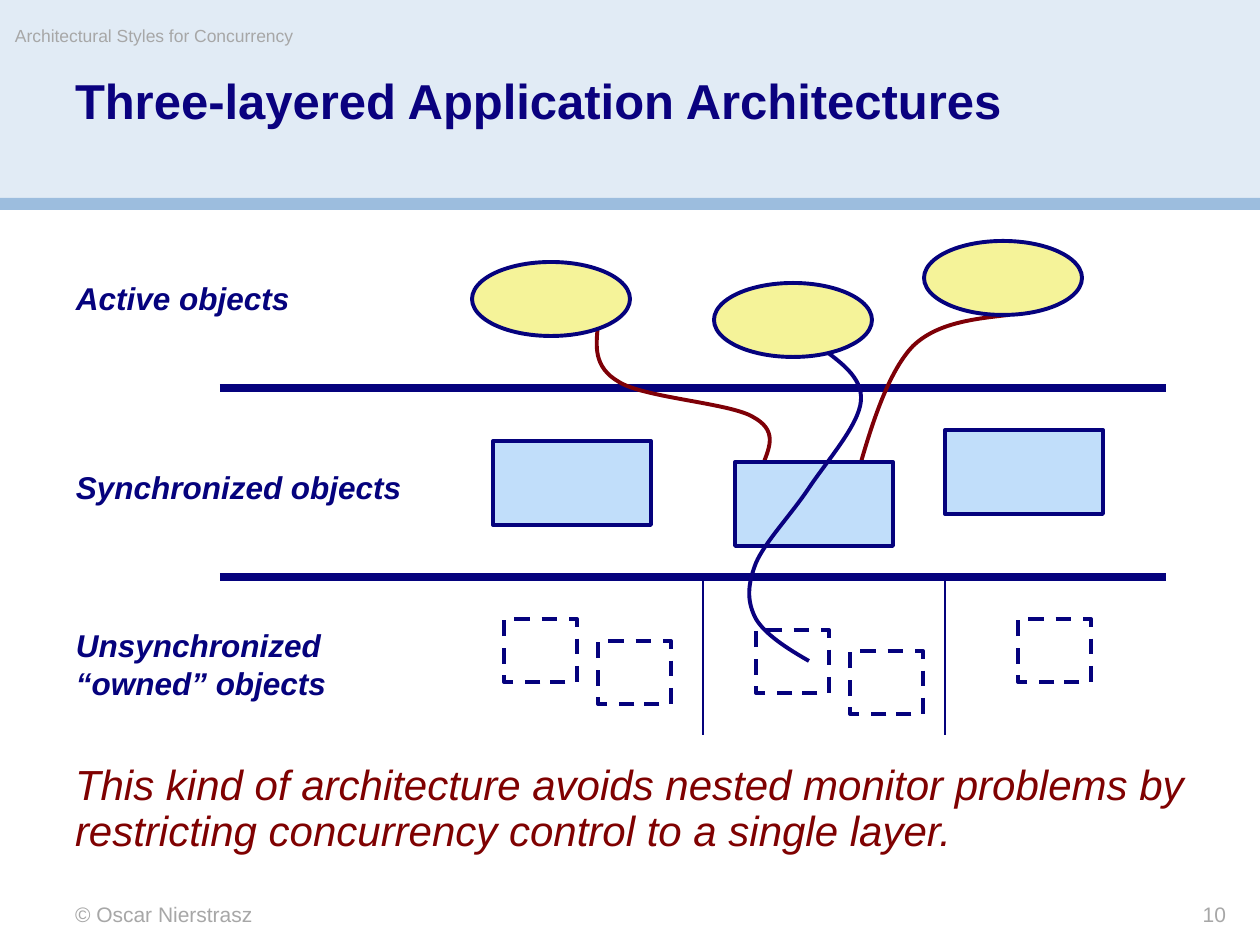
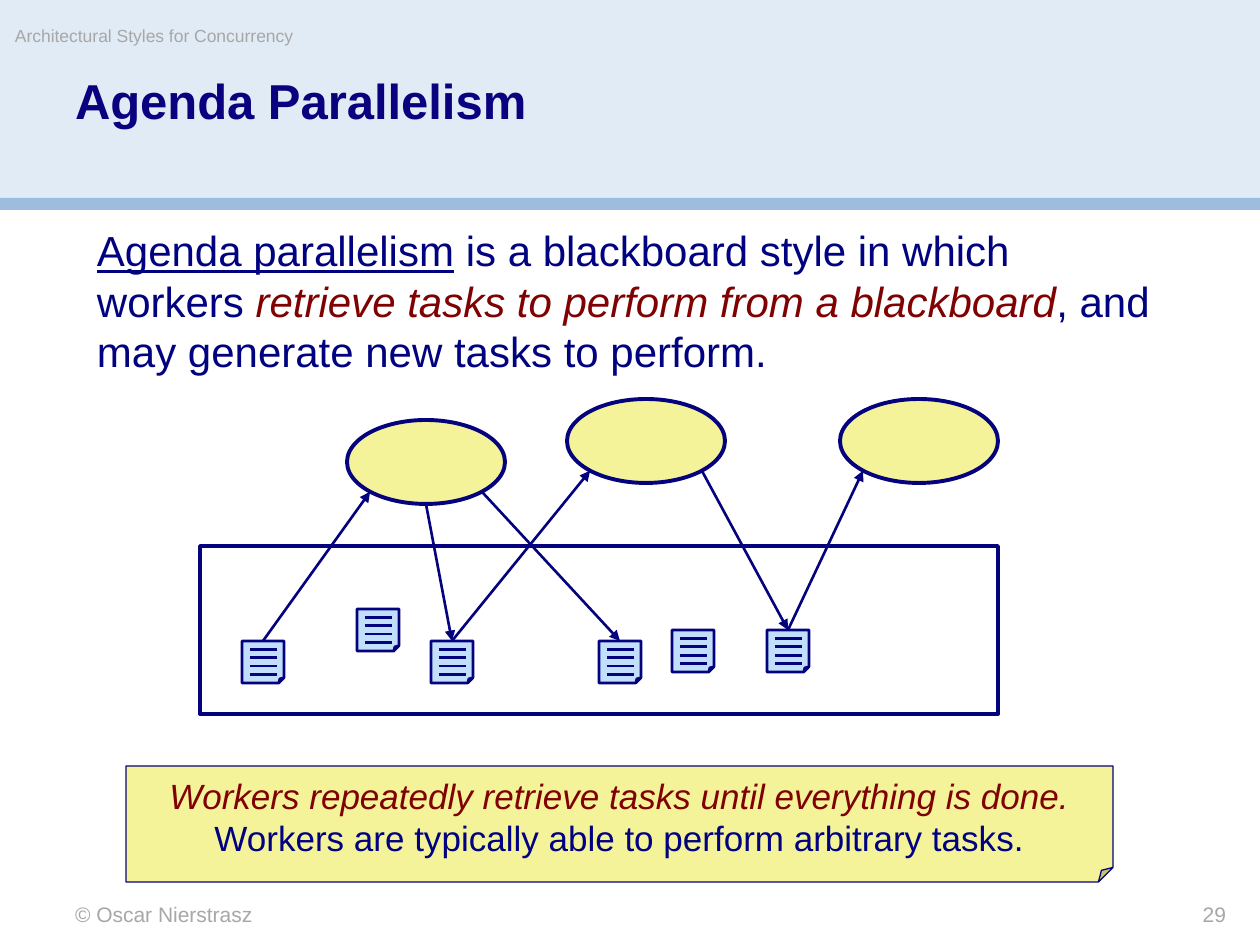
from dataclasses import dataclass
from math import cos, radians, sin

from lxml import etree
from pptx import Presentation
from pptx.dml.color import RGBColor
from pptx.enum.dml import MSO_LINE
from pptx.enum.shapes import MSO_CONNECTOR, MSO_SHAPE
from pptx.enum.text import MSO_ANCHOR, PP_ALIGN
from pptx.oxml.ns import qn
from pptx.util import Emu, Pt

EMU_PER_PX = 914400 / 126
STRAIGHT = MSO_CONNECTOR.STRAIGHT
RECTANGLE, OVAL, FOLDED = MSO_SHAPE.RECTANGLE, MSO_SHAPE.OVAL, MSO_SHAPE.FOLDED_CORNER
DASH = MSO_LINE.DASH
TOP, MIDDLE = MSO_ANCHOR.TOP, MSO_ANCHOR.MIDDLE
LEFT, CENTER, RIGHT = PP_ALIGN.LEFT, PP_ALIGN.CENTER, PP_ALIGN.RIGHT
TOP_SITE = 0


@dataclass(frozen=True)
class Theme:
    """Colours, font, type sizes and line widths of the deck."""
    font: str = "Arial"
    white: str = "FFFFFF"
    band: str = "E1EBF5"
    stripe: str = "9CBDDE"
    muted: str = "A7A7A7"
    title: str = "0A017F"
    text: str = "00027F"
    emphasis: str = "7F0101"
    outline: str = "05027D"
    call: str = "7E0007"
    yellow: str = "F5F399"
    blue: str = "C1DEFA"
    title_size: int = 28
    body_size: int = 24
    callout_size: int = 20
    label_size: int = 18
    footer_size: int = 12
    header_size: int = 10
    thick: float = 4.5
    medium: float = 2.25
    fine: float = 1.5
    hair: float = 0.75


@dataclass(frozen=True)
class Box:
    """A rectangle in px."""
    left: int
    top: int
    width: int
    height: int

    def inner(self, left, top, width, height):
        """Return a box placed relative to this one."""
        return Box(self.left + left, self.top + top, width, height)

    def point(self, x, y):
        """Return a point placed relative to this box."""
        return self.left + x, self.top + y

    def emu(self):
        """Return left, top, width and height in EMU."""
        return [px(value) for value in (self.left, self.top, self.width, self.height)]


THEME = Theme()


def px(value):
    """Turn px into EMU."""
    return Emu(round(value * EMU_PER_PX))


def rgb(colour):
    """Turn a hex string into a colour."""
    return RGBColor.from_string(colour)


def style_line(line, colour, width, dash=None):
    """Set the colour, width and dash of a line."""
    line.color.rgb = rgb(colour)
    line.width = Pt(width)
    if dash:
        line.dash_style = dash


def add_block(shapes, kind, box, fill=None, width=None, dash=None):
    """Add a preset shape without shadow, outlined when a width is given."""
    shape = shapes.add_shape(kind, *box.emu())
    shape.shadow.inherit = False
    if fill:
        shape.fill.solid()
        shape.fill.fore_color.rgb = rgb(fill)
    else:
        shape.fill.background()
    if width:
        style_line(shape.line, THEME.outline, width, dash)
    else:
        shape.line.fill.background()
    return shape


def add_sheet(shapes, box, fill, width):
    """Add a sheet whose folded corner takes an eighth of its short side."""
    sheet = add_block(shapes, FOLDED, box, fill, width)
    adjustments = sheet._element.find(".//" + qn("a:avLst"))
    etree.SubElement(adjustments, qn("a:gd"), name="adj", fmla="val 12500")
    return sheet


def add_line(shapes, start, end, width):
    """Add a straight connector between two points."""
    connector = shapes.add_connector(STRAIGHT, *[px(value) for value in (*start, *end)])
    style_line(connector.line, THEME.outline, width)
    etree.SubElement(connector._element.spPr, qn("a:effectLst"))
    return connector


def add_curve(shapes, box, points, colour):
    """Add a chain of Bezier curves from a start and triples of points."""
    builder = shapes.build_freeform(*points[0], scale=EMU_PER_PX)
    builder.add_line_segments(points[1:], close=False)
    curve = builder.convert_to_shape(px(box.left), px(box.top))
    curve.shadow.inherit = False
    curve.fill.background()
    style_line(curve.line, colour, THEME.medium)
    outline = curve._element.find(".//" + qn("a:path"))
    segments = outline.findall(qn("a:lnTo"))
    for index in range(0, len(segments), 3):
        bezier = etree.SubElement(outline, qn("a:cubicBezTo"))
        for segment in segments[index:index + 3]:
            bezier.append(segment[0])
            outline.remove(segment)


def write(text_frame, paragraphs, size, align=LEFT, anchor=TOP, spacing=None):
    """Fill a text frame with paragraphs of (text, colour, styles) runs."""
    text_frame.word_wrap = True
    text_frame.vertical_anchor = anchor
    for index, runs in enumerate(paragraphs):
        paragraph = text_frame.paragraphs[0] if index == 0 else text_frame.add_paragraph()
        paragraph.alignment = align
        if spacing:
            paragraph.line_spacing = spacing
        for text, colour, styles in runs:
            run = paragraph.add_run()
            run.text = text
            run.font.name = THEME.font
            run.font.size = Pt(size)
            run.font.color.rgb = rgb(colour)
            run.font.bold = "b" in styles
            run.font.italic = "i" in styles
            run.font.underline = "u" in styles


def add_text(shapes, box, paragraphs, size, **layout):
    """Add a text box without margins."""
    text_frame = shapes.add_textbox(*box.emu()).text_frame
    text_frame.margin_left = text_frame.margin_right = 0
    text_frame.margin_top = text_frame.margin_bottom = 0
    write(text_frame, paragraphs, size, **layout)


def add_frame(presentation, title, number):
    """Add a slide with its bands, running header, title and footer."""
    slide = presentation.slides.add_slide(presentation.slide_layouts[6])
    shapes = slide.shapes
    add_block(shapes, RECTANGLE, Box(0, 0, 1260, 199), THEME.band)
    add_block(shapes, RECTANGLE, Box(0, 198, 1260, 12), THEME.stripe)
    for box, text, size, align in (
        (Box(75, 902, 525, 26), "© Oscar Nierstrasz", THEME.footer_size, LEFT),
        (Box(15, 25, 743, 36), "Architectural Styles for Concurrency", THEME.header_size, LEFT),
        (Box(1040, 902, 186, 26), number, THEME.footer_size, RIGHT),
    ):
        add_text(shapes, box, [[(text, THEME.muted, "")]], size, align=align)
    add_text(shapes, Box(75, 77, 1112, 112), [[(title, THEME.title, "b")]],
             THEME.title_size, spacing=0.9)
    return shapes


def add_layers(shapes, box):
    """Draw the three layers, their objects and the calls between them."""
    upper, lower = 157, 346
    for y in (upper, lower):
        add_line(shapes, box.point(157, y), box.point(box.width, y), THEME.thick)
    for y, lines in (
        (48, ["Active objects"]),
        (237, ["Synchronized objects"]),
        (395, ["Unsynchronized", "“owned” objects"]),
    ):
        add_text(shapes, box.inner(13, y, 350, 38 * len(lines)),
                 [[(line, THEME.outline, "bi")] for line in lines], THEME.label_size)
    for x in (640, 882):
        add_line(shapes, box.point(x, lower), box.point(x, box.height), THEME.hair)
    for x, y in ((441, 388), (535, 410), (693, 399), (787, 420), (955, 388)):
        add_block(shapes, RECTANGLE, box.inner(x, y, 73, 63), THEME.white, THEME.medium, DASH)
    left_call = [(535, 94), (533, 115), (530, 136), (556, 151), (582, 167), (667, 172),
                 (690, 186), (714, 199), (707, 215), (701, 231)]
    right_call = [(945, 84), (910, 88), (874, 92), (850, 115), (827, 139), (811, 186),
                  (798, 231)]
    nested_call = [(756, 115), (777, 131), (800, 146), (798, 170), (796, 194), (764, 230),
                   (746, 257), (728, 284), (702, 311), (693, 332), (684, 355), (684, 371),
                   (693, 388), (702, 403), (723, 417), (746, 430)]
    for call in (left_call, right_call):
        add_curve(shapes, box, call, THEME.call)
    for x, y in ((430, 210), (672, 231), (882, 199)):
        add_block(shapes, RECTANGLE, box.inner(x, y, 158, 84), THEME.blue, THEME.medium)
    add_curve(shapes, box, nested_call, THEME.title)
    for x, y in ((409, 31), (651, 52), (861, 10)):
        add_block(shapes, OVAL, box.inner(x, y, 158, 74), THEME.yellow, THEME.medium)


def add_task(shapes, box):
    """Draw one task note with four ruled lines and return its sheet."""
    group = shapes.add_group_shape().shapes
    sheet = add_sheet(group, box, THEME.blue, THEME.fine)
    for row in range(1, 5):
        y = row * box.height / 5
        add_line(group, box.point(8, y), box.point(box.width - 7, y), THEME.fine)
    return sheet


def add_blackboard(shapes, box):
    """Draw workers above a blackboard of tasks, joined by arrows."""
    add_block(shapes, RECTANGLE, box.inner(0, 147, box.width, 168), None, THEME.medium)
    workers = [box.inner(x, y, 158, 84) for x, y in ((147, 21), (367, 0), (640, 0))]
    for worker in workers:
        add_block(shapes, OVAL, worker, THEME.yellow, THEME.medium)
    places = ((42, 242), (157, 210), (231, 242), (399, 242), (472, 231), (567, 231))
    notes = [box.inner(x, y, 42, 42) for x, y in places]
    sheets = [add_task(shapes, note) for note in notes]
    for worker, task, angle, to_task in (
        (0, 2, 90, True), (1, 2, 135, False), (0, 0, 135, False),
        (0, 3, 45, True), (1, 5, 45, True), (2, 5, 135, False),
    ):
        oval, note = workers[worker], notes[task]
        turn = radians(angle)
        rim = oval.point(oval.width / 2 * (1 + cos(turn)), oval.height / 2 * (1 + sin(turn)))
        edge = note.point(note.width / 2, 0)
        ends = (rim, edge) if to_task else (edge, rim)
        arrow = add_line(shapes, *ends, THEME.fine)
        join = arrow.end_connect if to_task else arrow.begin_connect
        join(sheets[task], TOP_SITE)
        etree.SubElement(arrow.line._get_or_add_ln(), qn("a:tailEnd"), type="triangle")


def add_callout(shapes, box):
    """Draw the folded note with the closing remark."""
    callout = add_sheet(shapes, box, THEME.yellow, THEME.hair)
    write(callout.text_frame, [
        [("Workers repeatedly retrieve tasks until everything is done.", THEME.emphasis, "i")],
        [("Workers are typically able to perform arbitrary tasks.", THEME.text, "")],
    ], THEME.callout_size, align=CENTER, anchor=MIDDLE)


def build_layers_slide(presentation):
    """Build the slide on three-layered architectures."""
    shapes = add_frame(presentation, "Three-layered Application Architectures", "10")
    add_text(shapes, Box(75, 758, 1112, 104), [[(
        "This kind of architecture avoids nested monitor problems by "
        "restricting concurrency control to a single layer.", THEME.emphasis, "i")]],
        THEME.body_size, anchor=MIDDLE, spacing=0.9)
    add_layers(shapes, Box(63, 231, 1103, 504))


def build_agenda_slide(presentation):
    """Build the slide on agenda parallelism."""
    shapes = add_frame(presentation, "Agenda Parallelism", "29")
    add_text(shapes, Box(97, 225, 1056, 152), [[
        ("Agenda parallelism", THEME.text, "u"),
        (" is a blackboard style in which workers ", THEME.text, ""),
        ("retrieve tasks to perform from a blackboard", THEME.emphasis, "i"),
        (", and may generate new tasks to perform.", THEME.text, ""),
    ]], THEME.body_size)
    add_blackboard(shapes, Box(200, 399, 798, 315))
    add_callout(shapes, Box(126, 766, 987, 116))


def main():
    """Build and save the presentation."""
    presentation = Presentation()
    presentation.slide_width, presentation.slide_height = px(1260), px(945)
    build_layers_slide(presentation)
    build_agenda_slide(presentation)
    presentation.save("out.pptx")


if __name__ == "__main__":
    main()
